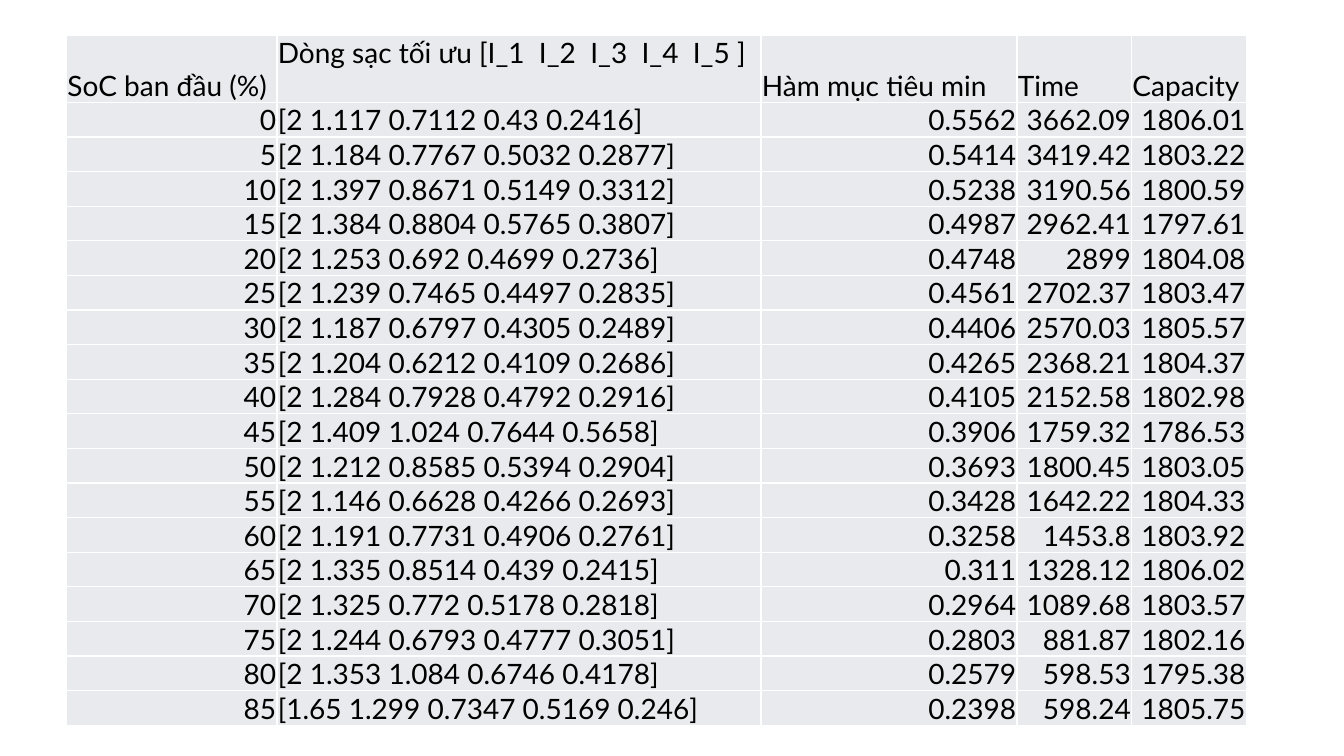
import dataclasses

import lxml.etree
import pptx
import pptx.dml.color
import pptx.enum.text
import pptx.oxml.ns
import pptx.util

Cm = pptx.util.Cm
Pt = pptx.util.Pt
Rgb = pptx.dml.color.RGBColor
Align = pptx.enum.text.PP_ALIGN
Anchor = pptx.enum.text.MSO_ANCHOR
qn = pptx.oxml.ns.qn


@dataclasses.dataclass
class Theme:
    font: str = "Lato"
    size: int = 20
    ink: str = "000000"
    fill: str = "E8EAED"
    line: str = "FFFFFF"
    width: int = 1


theme = Theme()

heads = (
    "SoC ban đầu (%)",
    "Dòng sạc tối ưu [I_1  I_2  I_3  I_4  I_5 ]",
    "Hàm mục tiêu min",
    "Time",
    "Capacity",
)
data = (
    ("[2 1.117 0.7112 0.43 0.2416]", "0.5562", "3662.09", "1806.01"),
    ("[2 1.184 0.7767 0.5032 0.2877]", "0.5414", "3419.42", "1803.22"),
    ("[2 1.397 0.8671 0.5149 0.3312]", "0.5238", "3190.56", "1800.59"),
    ("[2 1.384 0.8804 0.5765 0.3807]", "0.4987", "2962.41", "1797.61"),
    ("[2 1.253 0.692 0.4699 0.2736]", "0.4748", "2899", "1804.08"),
    ("[2 1.239 0.7465 0.4497 0.2835]", "0.4561", "2702.37", "1803.47"),
    ("[2 1.187 0.6797 0.4305 0.2489]", "0.4406", "2570.03", "1805.57"),
    ("[2 1.204 0.6212 0.4109 0.2686]", "0.4265", "2368.21", "1804.37"),
    ("[2 1.284 0.7928 0.4792 0.2916]", "0.4105", "2152.58", "1802.98"),
    ("[2 1.409 1.024 0.7644 0.5658]", "0.3906", "1759.32", "1786.53"),
    ("[2 1.212 0.8585 0.5394 0.2904]", "0.3693", "1800.45", "1803.05"),
    ("[2 1.146 0.6628 0.4266 0.2693]", "0.3428", "1642.22", "1804.33"),
    ("[2 1.191 0.7731 0.4906 0.2761]", "0.3258", "1453.8", "1803.92"),
    ("[2 1.335 0.8514 0.439 0.2415]", "0.311", "1328.12", "1806.02"),
    ("[2 1.325 0.772 0.5178 0.2818]", "0.2964", "1089.68", "1803.57"),
    ("[2 1.244 0.6793 0.4777 0.3051]", "0.2803", "881.87", "1802.16"),
    ("[2 1.353 1.084 0.6746 0.4178]", "0.2579", "598.53", "1795.38"),
    ("[1.65 1.299 0.7347 0.5169 0.246]", "0.2398", "598.24", "1805.75"),
)
rows = [heads] + [(str(5 * n), *vals) for n, vals in enumerate(data)]
widths = (5.3, 12.2, 6.45, 2.89, 2.89)
tall, low = 1.7, 0.87


def border(cell):
    props = cell._tc.get_or_add_tcPr()
    for side in ("a:lnL", "a:lnR", "a:lnT", "a:lnB"):
        line = lxml.etree.SubElement(props, qn(side), w=str(Pt(theme.width)))
        solid = lxml.etree.SubElement(line, qn("a:solidFill"))
        lxml.etree.SubElement(solid, qn("a:srgbClr"), val=theme.line)


deck = pptx.Presentation()
deck.slide_width = Cm(33.87)
deck.slide_height = Cm(19.05)
slide = deck.slides.add_slide(deck.slide_layouts[6])

frame = slide.shapes.add_table(
    len(rows), len(heads), Cm(1.68), Cm(0.88),
    Cm(sum(widths)), Cm(tall + low * len(data)),
)
table = frame.table
table.first_row = False
table.horz_banding = False
for col, width in zip(table.columns, widths):
    col.width = Cm(width)

for r, vals in enumerate(rows):
    table.rows[r].height = Cm(low if r else tall)
    for c, text in enumerate(vals):
        cell = table.cell(r, c)
        cell.margin_left = cell.margin_right = cell.margin_top = Cm(0.02)
        cell.margin_bottom = Cm(0)
        cell.vertical_anchor = Anchor.TOP if (r, c) == (0, 1) else Anchor.BOTTOM
        border(cell)
        cell.fill.solid()
        cell.fill.fore_color.rgb = Rgb.from_string(theme.fill)
        para = cell.text_frame.paragraphs[0]
        para.alignment = Align.RIGHT if r and c != 1 else Align.LEFT
        run = para.add_run()
        run.text = text
        run.font.name = theme.font
        run.font.size = Pt(theme.size)
        run.font.color.rgb = Rgb.from_string(theme.ink)

deck.save("out.pptx")
